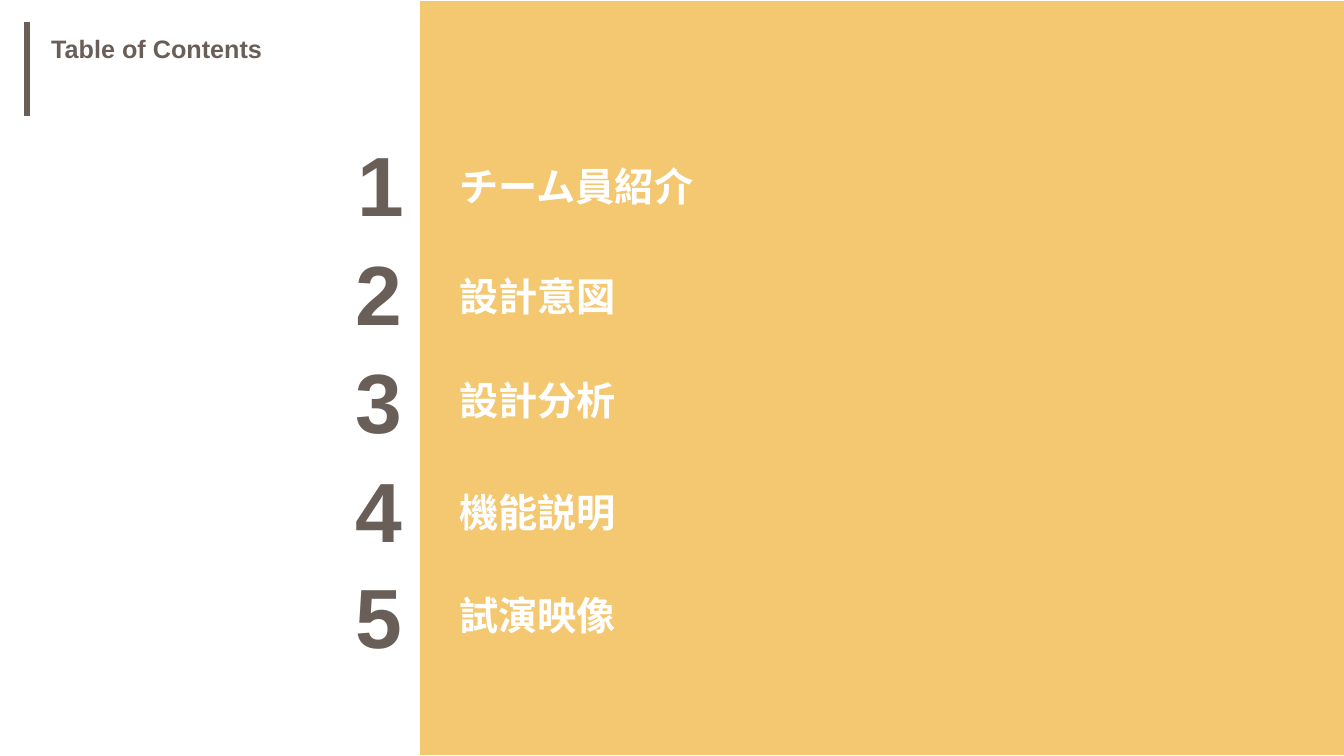
from lxml import etree
from pptx import Presentation
from pptx.dml.color import RGBColor
from pptx.enum import shapes, text
from pptx.oxml.ns import qn
from pptx.util import Pt

BROWN = RGBColor(0x6A, 0x5F, 0x58)
AMBER = RGBColor(0xF2, 0xC0, 0x5C)
WHITE = RGBColor(0xFF, 0xFF, 0xFF)

deck = Presentation()
deck.slide_width, deck.slide_height = Pt(960), Pt(540)
page = deck.slides.add_slide(deck.slide_layouts[6])


def add_text(words, left, top, width, height, size, color, wrap):
    box = page.shapes.add_textbox(Pt(left), Pt(top), Pt(width), Pt(height))
    frame = box.text_frame
    frame.word_wrap = wrap
    frame.auto_size = text.MSO_AUTO_SIZE.SHAPE_TO_FIT_TEXT
    para = frame.paragraphs[0]
    para.text = words
    para.font.name = "Arial"
    para.font.size = Pt(size)
    para.font.bold = True
    para.font.color.rgb = color


panel = page.shapes.add_shape(
    shapes.MSO_SHAPE.RECTANGLE, Pt(299.8), Pt(0), Pt(661.4), Pt(540))
panel.shadow.inherit = False
panel.fill.solid()
panel.fill.fore_color.rgb = AMBER
tint = panel.fill._xPr.find(qn("a:solidFill"))[0]
etree.SubElement(tint, qn("a:alpha"), val="87000")
panel.line.color.rgb = WHITE
panel.line.width = Pt(1)

title_bar = page.shapes.add_connector(
    shapes.MSO_CONNECTOR.STRAIGHT, Pt(19.5), Pt(15.8), Pt(19.5), Pt(82.8))
title_bar.line.color.rgb = BROWN
title_bar.line.width = Pt(4.5)
etree.SubElement(title_bar._element.spPr, qn("a:effectLst"))

add_text("Table of Contents", 29.5, 20.2, 166.3, 28.8, 18, BROWN, False)

chapters = [
    ("チーム員紹介", 248.4, 91.4, 112.3),
    ("設計意図", 247, 168.8, 190.8),
    ("設計分析", 247, 246.2, 265),
    ("機能説明", 247, 324, 344.9),
    ("試演映像", 247, 399.6, 419),
]
for number, (name, number_left, number_top, name_top) in enumerate(chapters, 1):
    add_text(str(number), number_left, number_top, 48, 80, 60, BROWN, False)
    add_text(name, 321.1, name_top, 274.3, 41.2, 28, WHITE, True)

deck.save("out.pptx")
